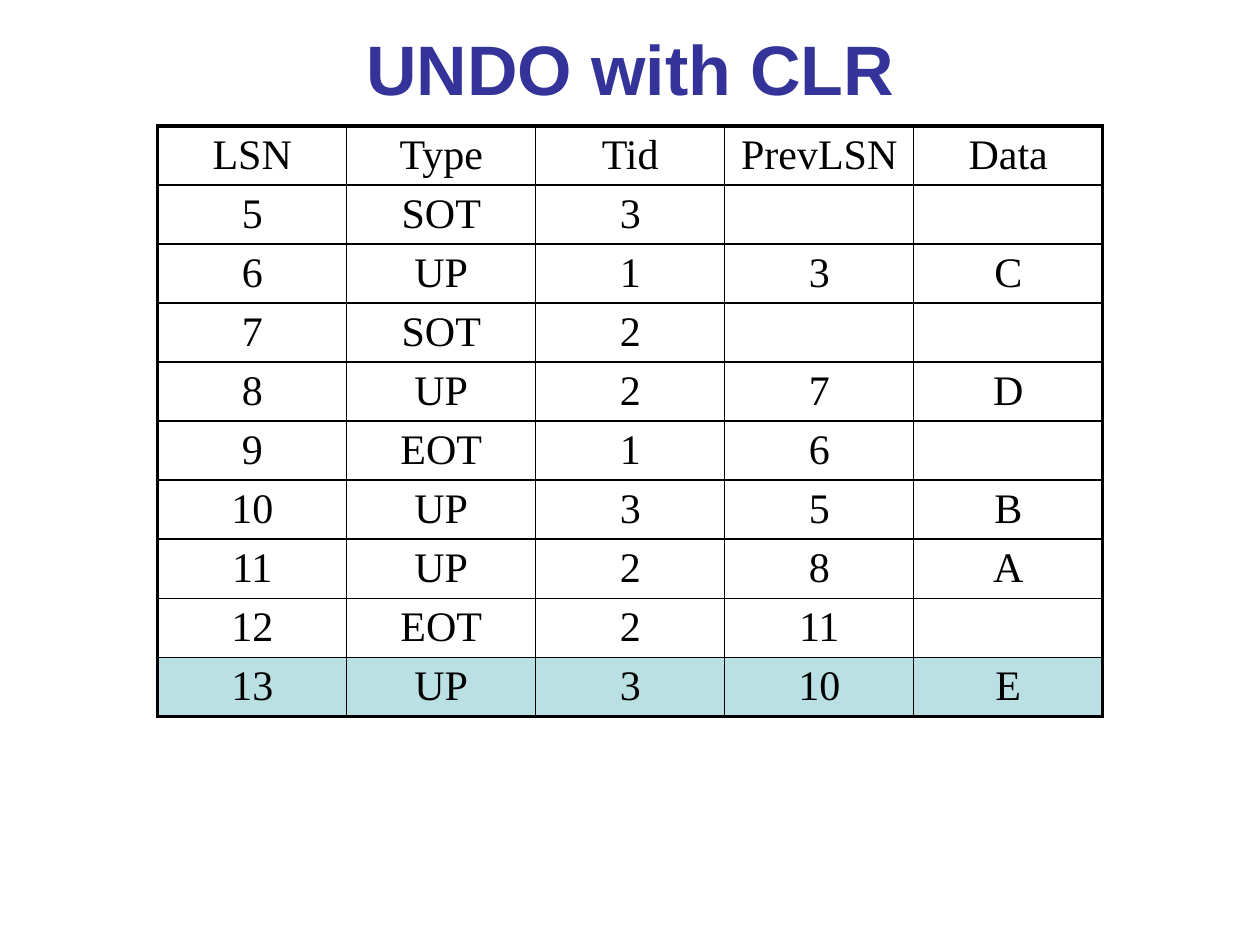
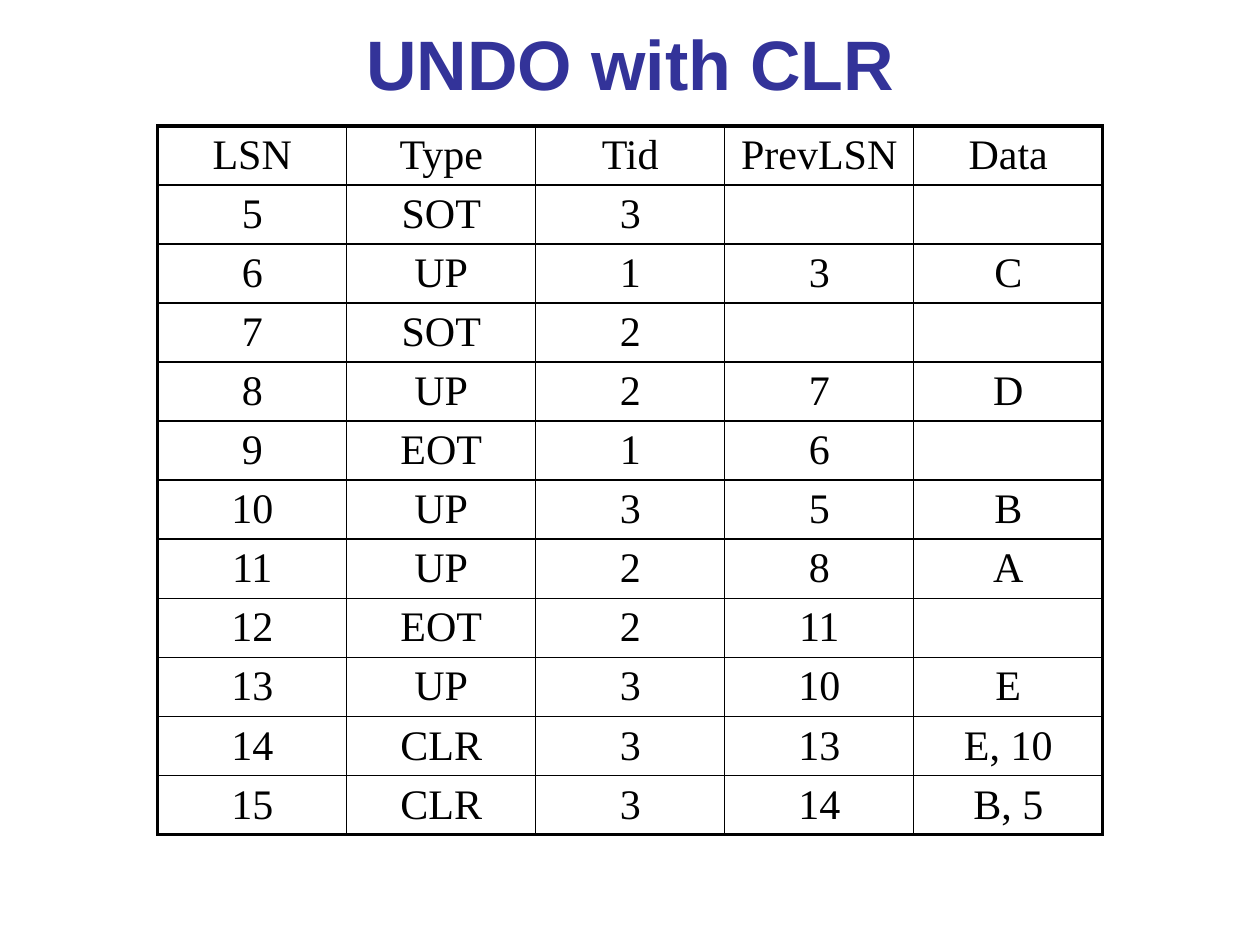
from lxml.etree import SubElement
from pptx import Presentation
from pptx.dml.color import RGBColor
from pptx.enum.text import MSO_ANCHOR, PP_ALIGN
from pptx.oxml.ns import qn
from pptx.util import Cm, Pt

# Shared colours and text formats
NAVY, BLACK, WHITE, AQUA = "333399", "000000", "FFFFFF", "BBE0E3"
TITLE = {"name": "Arial", "size": Pt(40), "bold": True}
BODY = {"name": "Times New Roman", "size": Pt(24), "bold": False}
THIN, THICK = Pt(1), Pt(2.25)

# Log records
HEAD = ["LSN", "Type", "Tid", "PrevLSN", "Data"]
LOG = [
    ["5", "SOT", "3", "", ""],
    ["6", "UP", "1", "3", "C"],
    ["7", "SOT", "2", "", ""],
    ["8", "UP", "2", "7", "D"],
    ["9", "EOT", "1", "6", ""],
    ["10", "UP", "3", "5", "B"],
    ["11", "UP", "2", "8", "A"],
    ["12", "EOT", "2", "11", ""],
    ["13", "UP", "3", "10", "E"],
]
UNDO = [
    ["14", "CLR", "3", "13", "E, 10"],
    ["15", "CLR", "3", "14", "B, 5"],
]


def paint(code):
    return RGBColor.from_string(code)


class Deck:
    """Holds the style and the current slide."""

    def __init__(self):
        self.file = Presentation()
        self.file.slide_width, self.file.slide_height = Cm(25.4), Cm(19.05)
        self.slide = None

    def text(self, para, words, style, tint):
        para.alignment = PP_ALIGN.CENTER
        if not words:
            return
        run = para.add_run()
        run.text = words
        for key, value in style.items():
            setattr(run.font, key, value)
        run.font.color.rgb = paint(tint)

    def page(self, words, top):
        self.slide = self.file.slides.add_slide(self.file.slide_layouts[5])
        title = self.slide.shapes.title
        place = {"left": Cm(1.91), "top": Cm(top),
                 "width": Cm(21.59), "height": Cm(2.74)}
        for key, value in place.items():
            setattr(title, key, value)
        title.text_frame.vertical_anchor = MSO_ANCHOR.MIDDLE
        self.text(title.text_frame.paragraphs[0], words, TITLE, NAVY)

    def edge(self, cell, side, width):
        line = SubElement(cell._tc.get_or_add_tcPr(), qn("a:ln" + side), w=str(width))
        fill = SubElement(line, qn("a:solidFill"))
        SubElement(fill, qn("a:srgbClr"), val=BLACK)

    def table(self, rows, mark=None):
        high, wide = len(rows), len(rows[0])
        step = Cm(1.19)
        grid = self.slide.shapes.add_table(
            high, wide, Cm(3.18), Cm(2.54), Cm(19.05), step * high).table
        grid.first_row = grid.horz_banding = False
        for line in grid.rows:
            line.height = step
        for r, row in enumerate(rows):
            for c, words in enumerate(row):
                cell = grid.cell(r, c)
                form = {"margin_top": Cm(0.1), "margin_bottom": Cm(0.1),
                        "vertical_anchor": MSO_ANCHOR.MIDDLE}
                for key, value in form.items():
                    setattr(cell, key, value)
                # Thick lines on the outer frame only
                outer = {"L": c == 0, "R": c == wide - 1,
                         "T": r == 0, "B": r == high - 1}
                for side, rim in outer.items():
                    self.edge(cell, side, THICK if rim else THIN)
                cell.fill.solid()
                cell.fill.fore_color.rgb = paint(AQUA if row[0] == mark else WHITE)
                self.text(cell.text_frame.paragraphs[0], words, BODY, BLACK)


deck = Deck()

# Slide 1: log with the latest update marked
deck.page("UNDO with CLR", 0)
deck.table([HEAD] + LOG, mark="13")

# Slide 2: log with compensation records added
deck.page("UNDO with CLR", -0.1)
deck.table([HEAD] + LOG + UNDO)

deck.file.save("out.pptx")
